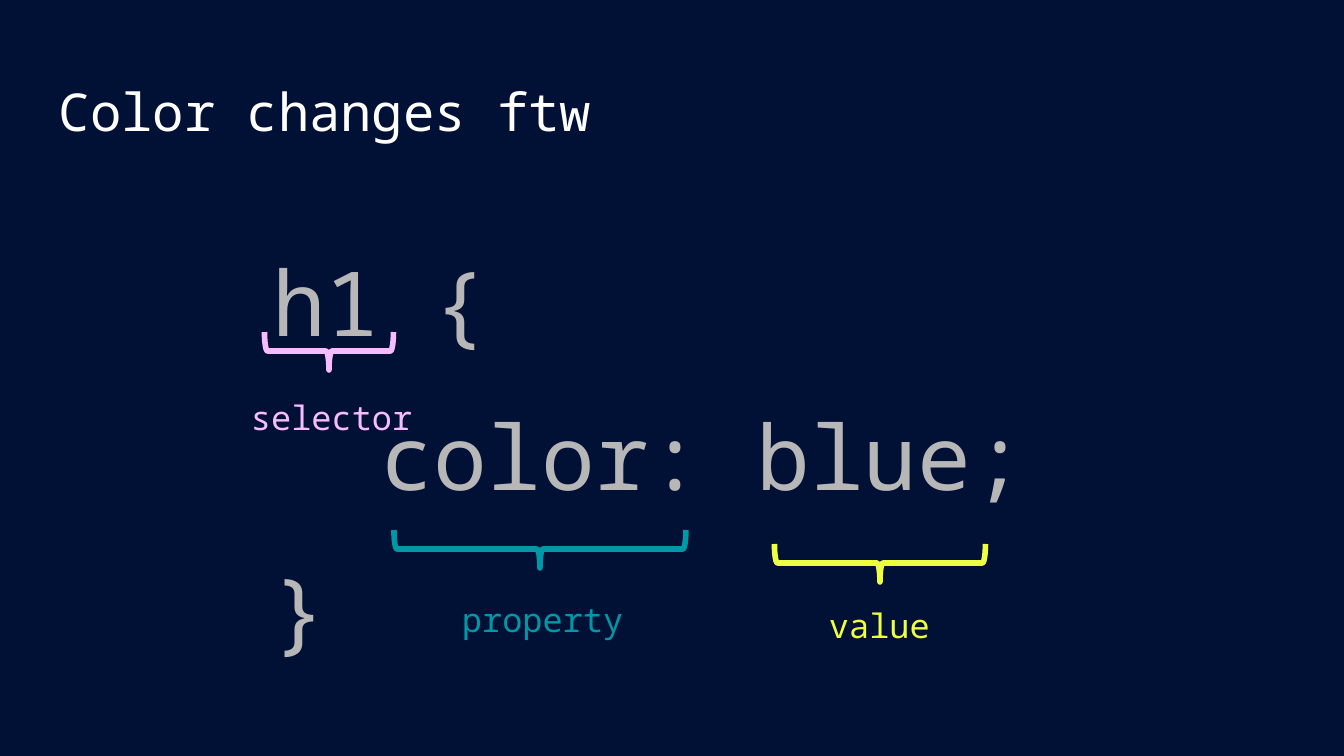
"""Build a slide that labels the parts of a CSS rule."""
from pptx import Presentation
from pptx.dml.color import RGBColor
from pptx.enum.shapes import MSO_SHAPE
from pptx.enum.text import MSO_ANCHOR
from pptx.util import Pt

PX = 914400 / 134.4
FONT = "Noto Sans Mono"
COLORS = {
    "background": "011035",
    "title": "FFFFFF",
    "code": "B7B7B7",
    "selector": "F5BCFF",
    "property": "0097A7",
    "value": "EEFF41",
}


def px(*lengths):
    return [round(length * PX) for length in lengths]


def add_text(box, lines, size, color, anchor=MSO_ANCHOR.TOP, spacing=1.15, after=16):
    frame = slide.shapes.add_textbox(*px(*box)).text_frame
    frame.word_wrap = True
    frame.vertical_anchor = anchor
    frame.margin_left, frame.margin_top, frame.margin_right, frame.margin_bottom = px(13, 13, 13, 13)
    frame.text = "\n".join(lines)
    for paragraph in frame.paragraphs:
        paragraph.line_spacing = spacing
        paragraph.space_after = Pt(after)
        paragraph.font.name = FONT
        paragraph.font.size = Pt(size)
        paragraph.font.color.rgb = RGBColor.from_string(COLORS[color])
    return frame.paragraphs


prs = Presentation()
prs.slide_width, prs.slide_height = px(1344, 756)
slide = prs.slides.add_slide(prs.slide_layouts[6])
slide.background.fill.solid()
slide.background.fill.fore_color.rgb = RGBColor.from_string(COLORS["background"])

add_text((46, 66, 1253, 85), ["Color changes ftw"], 28, "title", spacing=1.0, after=0)

rule_lines = add_text((259, 218, 969, 449), ["h1 {", "color: blue;", "}"], 48, "code")
declaration = rule_lines[1]
declaration._p.get_or_add_pPr().set("marL", str(px(108)[0]))

BRACE_DEPTH = 38
LABEL_HEIGHT = 47
parts = [
    # name, brace centre x and y, brace span, label left, top and width
    ("selector", 329, 351, 129, 238, 391, 196),
    ("property", 540, 549, 292, 449, 593, 196),
    ("value", 880, 563, 211, 816, 599, 129),
]
for name, center_x, center_y, span, left, top, width in parts:
    brace = slide.shapes.add_shape(
        MSO_SHAPE.LEFT_BRACE,
        *px(center_x - BRACE_DEPTH / 2, center_y - span / 2, BRACE_DEPTH, span),
    )
    brace.rotation = 270
    brace.adjustments[0] = 0.08
    brace.shadow.inherit = False
    brace.fill.background()
    brace.line.color.rgb = RGBColor.from_string(COLORS[name])
    brace.line.width = Pt(3)
    add_text((left, top, width, LABEL_HEIGHT), [name], 18, name, MSO_ANCHOR.MIDDLE)

prs.save("out.pptx")
